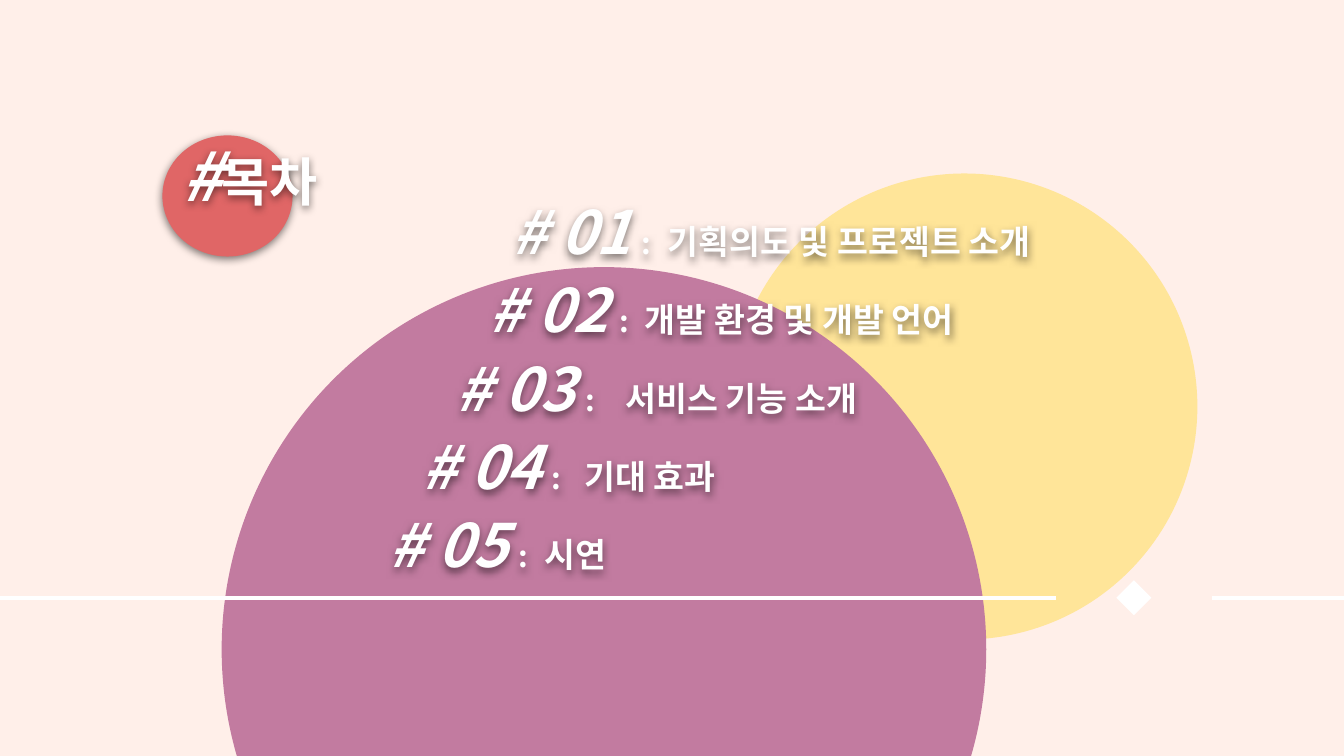
import pptx
import pptx.dml.color
import pptx.enum.shapes
import pptx.enum.text
import pptx.oxml
import pptx.oxml.ns
import pptx.util
from pptx.util import Cm

RGBColor = pptx.dml.color.RGBColor
SHAPE = pptx.enum.shapes.MSO_SHAPE

CREAM = RGBColor(0xFF, 0xEF, 0xE9)
YELLOW = RGBColor(0xFF, 0xE5, 0x99)
MAUVE = RGBColor(0xC2, 0x7B, 0xA0)
CORAL = RGBColor(0xE0, 0x66, 0x66)
WHITE = RGBColor(0xFF, 0xFF, 0xFF)
FONT = "Noto Sans CJK KR"

# Left edge, label tab position (both in cm), number and label
CONTENTS = [
    (9.42, 2.95, "# 01", "기획의도 및 프로젝트 소개"),
    (8.99, 2.95, "# 02", "개발 환경 및 개발 언어"),
    (8.36, 3.21, "# 03", "서비스 기능 소개"),
    (7.72, 3.07, "# 04", "기대 효과"),
    (7.09, 2.95, "# 05", "시연"),
]
FIRST_ROW_TOP = 3.23
ROW_STEP = 1.48
COLON_TAB = 2.46


def set_effects(shape, content=""):
    """Replace the effects of a shape or connector; none by default."""
    properties = shape._element.spPr
    for old in properties.findall(pptx.oxml.ns.qn("a:effectLst")):
        properties.remove(old)
    properties.append(pptx.oxml.parse_xml(
        f'<a:effectLst {pptx.oxml.ns.nsdecls("a")}>{content}</a:effectLst>'))


def add_soft_shadow(shape):
    set_effects(
        shape,
        '<a:outerShdw blurRad="57150" dist="19050" dir="5400000" '
        'algn="bl" rotWithShape="0"><a:srgbClr val="000000">'
        '<a:alpha val="50000"/></a:srgbClr></a:outerShdw>')


def add_plain_shape(slide, kind, left, top, width, height, color):
    shape = slide.shapes.add_shape(
        kind, Cm(left), Cm(top), Cm(width), Cm(height))
    shape.shadow.inherit = False
    shape.fill.solid()
    shape.fill.fore_color.rgb = color
    shape.line.fill.background()
    return shape


def add_rule(slide, start, end, height):
    rule = slide.shapes.add_connector(
        pptx.enum.shapes.MSO_CONNECTOR.STRAIGHT,
        Cm(start), Cm(height), Cm(end), Cm(height))
    rule.line.color.rgb = WHITE
    rule.line.width = pptx.util.Pt(2.25)
    set_effects(rule)


def add_run(paragraph, text, size, italic=False):
    run = paragraph.add_run()
    run.text = text
    font = run.font
    font.name = FONT
    font.size = pptx.util.Pt(size)
    font.bold = True
    font.italic = italic
    font.color.rgb = WHITE
    east_asian = pptx.oxml.parse_xml(
        f'<a:ea {pptx.oxml.ns.nsdecls("a")} typeface="{FONT}"/>')
    run._r.rPr.find(pptx.oxml.ns.qn("a:latin")).addnext(east_asian)


def add_tabs(paragraph, positions):
    stops = "".join(
        f'<a:tab pos="{Cm(position)}" algn="l"/>' for position in positions)
    paragraph._p.get_or_add_pPr().append(pptx.oxml.parse_xml(
        f'<a:tabLst {pptx.oxml.ns.nsdecls("a")}>{stops}</a:tabLst>'))


def write_text(shape, runs, line_spacing=1.0, space_after=0, tabs=()):
    """Fill a shape with one shadowed line of (text, size, italic) runs."""
    frame = shape.text_frame
    frame.word_wrap = True
    frame.auto_size = pptx.enum.text.MSO_AUTO_SIZE.NONE
    frame.vertical_anchor = pptx.enum.text.MSO_ANCHOR.TOP
    frame.margin_left = frame.margin_right = Cm(0.25)
    frame.margin_top = frame.margin_bottom = Cm(0.25)
    paragraph = frame.paragraphs[0]
    if tabs:
        add_tabs(paragraph, tabs)
    paragraph.alignment = pptx.enum.text.PP_ALIGN.LEFT
    paragraph.line_spacing = line_spacing
    paragraph.space_after = pptx.util.Pt(space_after)
    for text, size, italic in runs:
        add_run(paragraph, text, size, italic)
    add_soft_shadow(shape)


def place_title(slide):
    title = slide.shapes.title
    title.left, title.top = Cm(3.18), Cm(2.46)
    title.width, title.height = Cm(4.17), Cm(1.75)
    write_text(title, [("#", 36, True), ("목차", 28, False)],
               line_spacing=0.9)
    # Bring the title in front of the circles
    slide.shapes._spTree.append(title._element)


def add_contents(slide):
    for index, (left, label_tab, number, label) in enumerate(CONTENTS):
        box = slide.shapes.add_textbox(
            Cm(left), Cm(FIRST_ROW_TOP + index * ROW_STEP),
            Cm(13.46), Cm(0.97))
        write_text(
            box,
            [(number, 32, True), ("\t:\t", 16, False), (label, 18, False)],
            line_spacing=1.15, space_after=16, tabs=(COLON_TAB, label_tab))


def main():
    presentation = pptx.Presentation()
    presentation.slide_width = Cm(25.4)
    presentation.slide_height = Cm(14.29)
    slide = presentation.slides.add_slide(presentation.slide_layouts[5])
    slide.background.fill.solid()
    slide.background.fill.fore_color.rgb = CREAM

    add_plain_shape(slide, SHAPE.OVAL, 13.82, 3.28, 8.81, 8.81, YELLOW)
    add_plain_shape(slide, SHAPE.OVAL, 4.19, 5.05, 14.45, 14.45, MAUVE)
    title_circle = add_plain_shape(
        slide, SHAPE.OVAL, 3.07, 2.56, 2.46, 2.29, CORAL)
    add_soft_shadow(title_circle)

    place_title(slide)
    add_contents(slide)

    add_rule(slide, -2.77, 19.96, 11.3)
    add_rule(slide, 22.9, 45.64, 11.3)
    add_plain_shape(slide, SHAPE.DIAMOND, 21.1, 10.97, 0.66, 0.66, WHITE)

    presentation.save("out.pptx")


if __name__ == "__main__":
    main()
